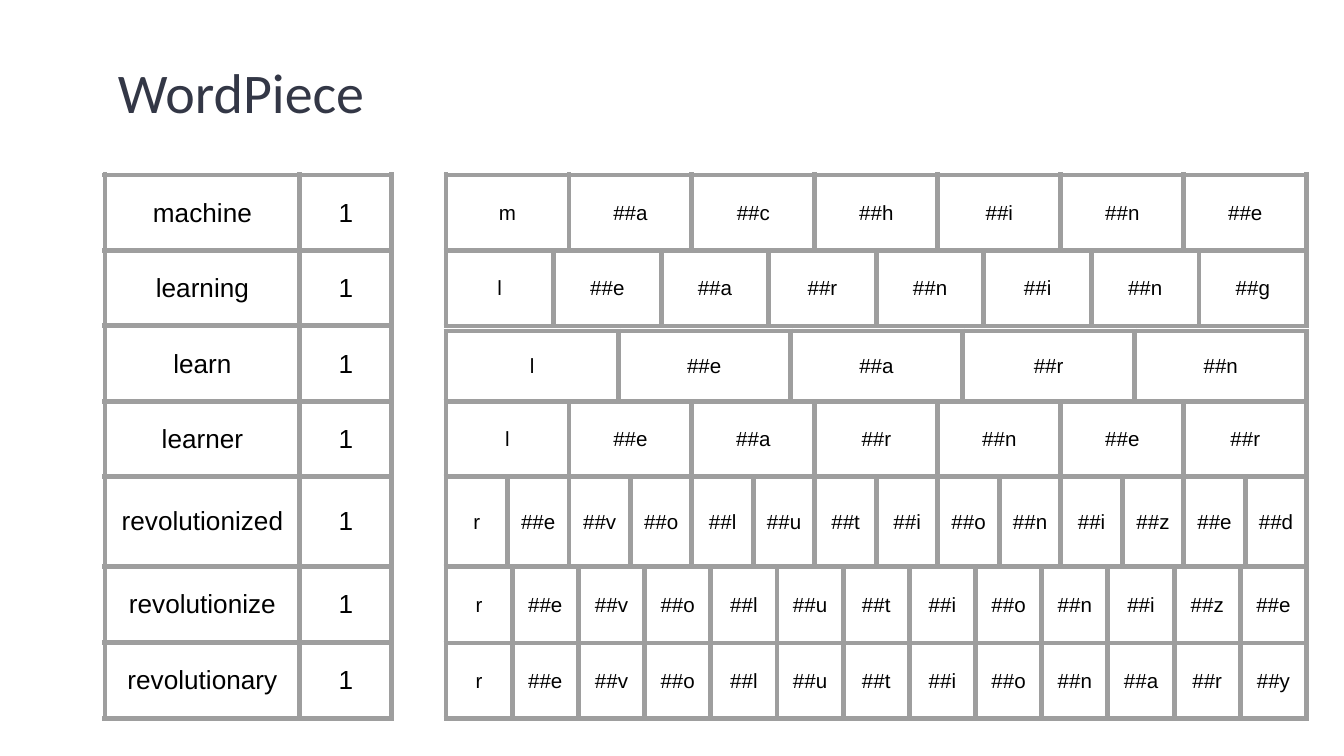
from dataclasses import dataclass
from itertools import pairwise
from lxml.etree import SubElement
from pptx import Presentation
from pptx.dml.color import RGBColor
from pptx.enum.text import MSO_ANCHOR, PP_ALIGN
from pptx.oxml.ns import qn
from pptx.util import Pt

SCALE = 9144000 / 1344


@dataclass(frozen=True)
class Theme:
    title: str = "333746"
    ink: str = "000000"
    rule: str = "9E9E9E"
    head: str = "Calibri"
    body: str = "Arial"
    big: int = 30
    mid: int = 14
    small: int = 11
    line: int = 3


THEME = Theme()
WORDS = ["machine", "learning", "learn", "learner",
         "revolutionized", "revolutionize", "revolutionary"]
EDGES = [175, 251, 326, 402, 477, 567, 643, 719]
NUDGE = {"learn": 5}
INSET = 13


def px(n):
    return round(n * SCALE)


def add_run(para, text, font, size, color):
    run = para.add_run()
    run.text = text
    run.font.name = font
    run.font.size = Pt(size)
    run.font.color.rgb = RGBColor.from_string(color)


def add_title(slide, text):
    box = slide.shapes.add_textbox(px(105), px(34), px(1116), px(103))
    frame = box.text_frame
    frame.word_wrap = True
    frame.margin_left = frame.margin_right = px(INSET)
    frame.margin_top = frame.margin_bottom = px(INSET)
    para = frame.paragraphs[0]
    para.line_spacing = 1.15
    add_run(para, text, THEME.head, THEME.big, THEME.title)


def add_rules(cell):
    props = cell._tc.get_or_add_tcPr()
    for side in ("lnL", "lnR", "lnT", "lnB"):
        line = SubElement(props, qn(f"a:{side}"), w=str(Pt(THEME.line)))
        fill = SubElement(line, qn("a:solidFill"))
        SubElement(fill, qn("a:srgbClr"), val=THEME.rule)


def fill_cell(cell, text, size):
    add_rules(cell)
    cell.fill.background()
    cell.vertical_anchor = MSO_ANCHOR.MIDDLE
    cell.margin_left = cell.margin_right = px(INSET)
    cell.margin_top = cell.margin_bottom = px(INSET)
    para = cell.text_frame.paragraphs[0]
    para.alignment = PP_ALIGN.CENTER
    add_run(para, text, THEME.body, size, THEME.ink)


def add_grid(slide, left, top, widths, heights, rows, size):
    frame = slide.shapes.add_table(
        len(heights), len(widths), px(left), px(top),
        px(sum(widths)), px(sum(heights)))
    grid = frame.table
    grid.first_row = grid.horz_banding = False
    for col, width in zip(grid.columns, widths):
        col.width = px(width)
    for row, height, texts in zip(grid.rows, heights, rows):
        row.height = px(height)
        for cell, text in zip(row.cells, texts):
            fill_cell(cell, text, size)


def add_counts(slide):
    heights = [low - top for top, low in pairwise(EDGES)]
    rows = [(word, "1") for word in WORDS]
    add_grid(slide, 105, EDGES[0], [195, 92], heights, rows, THEME.mid)


def add_pieces(slide, word, top, low):
    top += NUDGE.get(word, 0)
    parts = [word[0]] + [f"##{char}" for char in word[1:]]
    widths = [861 / len(parts)] * len(parts)
    add_grid(slide, 446, top, widths, [low - top], [parts], THEME.small)


def main():
    deck = Presentation()
    deck.slide_width, deck.slide_height = px(1344), px(756)
    slide = deck.slides.add_slide(deck.slide_layouts[6])
    add_title(slide, "WordPiece")
    add_counts(slide)
    for word, (top, low) in zip(WORDS, pairwise(EDGES)):
        add_pieces(slide, word, top, low)
    deck.save("out.pptx")


if __name__ == "__main__":
    main()
